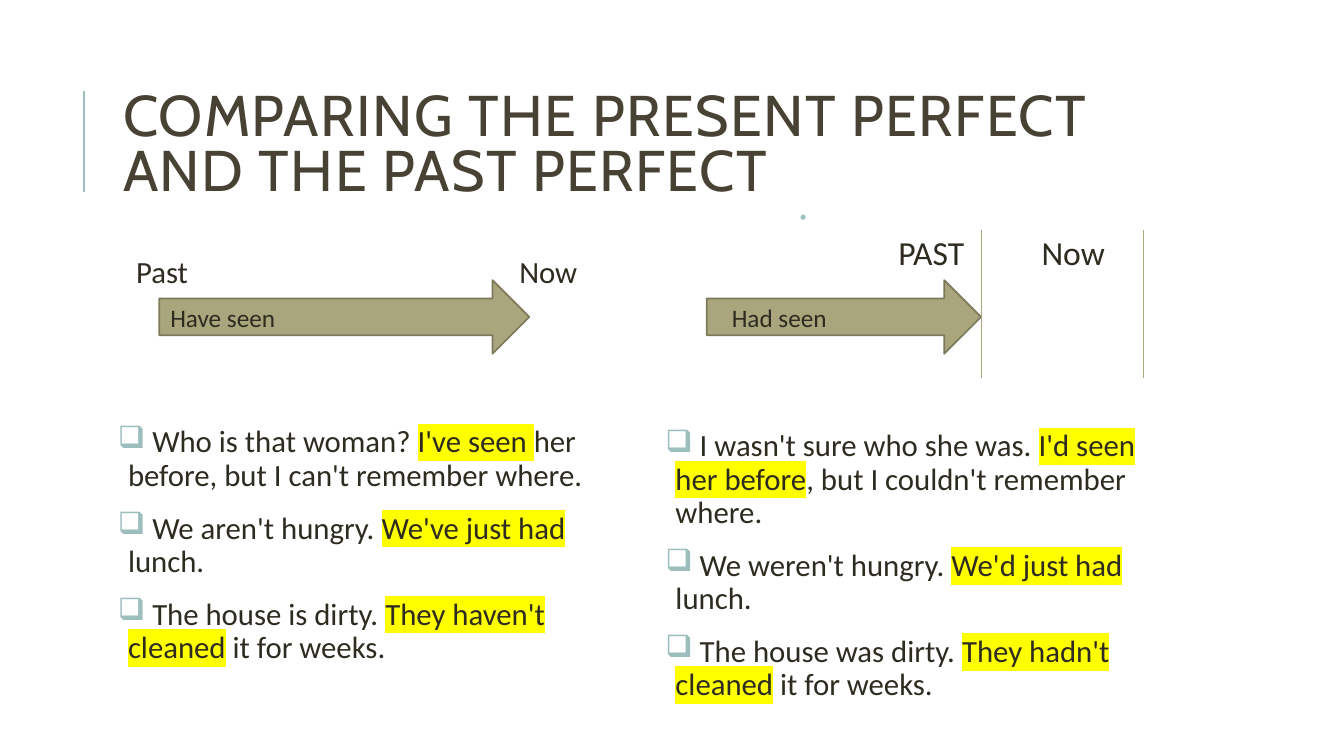
from lxml import etree
from pptx import Presentation
from pptx.dml.color import RGBColor
from pptx.enum.shapes import MSO_CONNECTOR, MSO_SHAPE
from pptx.enum.text import MSO_ANCHOR, MSO_AUTO_SIZE, PP_ALIGN
from pptx.oxml.ns import qn
from pptx.util import Inches, Pt

RIGHT_ARROW, DOT = MSO_SHAPE.RIGHT_ARROW, MSO_SHAPE.OVAL
STRAIGHT = MSO_CONNECTOR.STRAIGHT
TOP, MIDDLE = MSO_ANCHOR.TOP, MSO_ANCHOR.MIDDLE
LEFT = PP_ALIGN.LEFT
NO_FIT = MSO_AUTO_SIZE.NONE

TITLE_BROWN = RGBColor(0x47, 0x42, 0x33)
INK = RGBColor(0x2E, 0x2B, 0x21)
TEAL = RGBColor(0x9C, 0xBE, 0xBD)
OLIVE = RGBColor(0xA9, 0xA5, 0x7C)
DARK_OLIVE = RGBColor(0x7D, 0x7A, 0x5C)
YELLOW = RGBColor(0xFF, 0xFF, 0x00)

TITLE = "COMPARING THE PRESENT PERFECT AND THE PAST PERFECT"
PRESENT_PERFECT = [
    (" Who is that woman? ", "I've seen ", "her before, but I can't remember where."),
    (" We aren't hungry. ", "We've just had", " lunch."),
    (" The house is dirty. ", "They haven't cleaned", " it for weeks."),
]
PAST_PERFECT = [
    (" I wasn't sure who she was. ", "I'd seen her before", ", but I couldn't remember where."),
    (" We weren't hungry. ", "We'd just had ", "lunch."),
    (" The house was dirty. ", "They hadn't cleaned", " it for weeks."),
]


def add_color(parent, tag, color):
    """Append a DrawingML colour holder to parent and return it."""
    holder = etree.SubElement(parent, qn(tag))
    etree.SubElement(holder, qn("a:srgbClr"), val=str(color))
    return holder


def write(paragraph, text, size=22, font="Calibri", color=INK, highlight=None, tracking=None):
    """Add a formatted run to a paragraph."""
    run = paragraph.add_run()
    run.text = text
    run.font.size = Pt(size)
    run.font.name = font
    run.font.color.rgb = color
    properties = run.font._element
    if highlight is not None:
        marker = add_color(properties, "a:highlight", highlight)
        properties.find(qn("a:latin")).addprevious(marker)
    if tracking is not None:
        properties.set("spc", str(tracking))


def add_frame(slide, left, top, width, height, inset=0.05):
    """Add a wrapping text box and return its text frame."""
    box = slide.shapes.add_textbox(Inches(left), Inches(top), Inches(width), Inches(height))
    frame = box.text_frame
    frame.word_wrap = True
    frame.vertical_anchor = TOP
    frame.margin_left = frame.margin_right = Inches(inset)
    frame.margin_top = frame.margin_bottom = Inches(0.05)
    return frame


def add_label(slide, text, left, top, width, size=22, inset=0.05, spacing=0.9):
    """Add a one-line label."""
    paragraph = add_frame(slide, left, top, width, 0.4, inset).paragraphs[0]
    paragraph.line_spacing = spacing
    write(paragraph, text, size=size)


def add_examples(slide, examples, left, top):
    """Add a checkbox list with the verb phrase of each example marked."""
    frame = add_frame(slide, left, top, 5.2, 6.9 - top)
    for index, (opening, verb_phrase, ending) in enumerate(examples):
        paragraph = frame.add_paragraph() if index else frame.paragraphs[0]
        paragraph.line_spacing = 0.9
        paragraph.space_before, paragraph.space_after = Pt(12), Pt(2)
        properties = paragraph._p.get_or_add_pPr()
        properties.set("marL", str(Inches(0.1)))
        properties.set("indent", str(Inches(-0.1)))
        add_color(properties, "a:buClr", TEAL)
        etree.SubElement(properties, qn("a:buChar"), char="❑")
        write(paragraph, opening)
        write(paragraph, verb_phrase, highlight=YELLOW)
        write(paragraph, ending)


def add_solid(slide, preset, left, top, width, height, fill, outline=None):
    """Add a filled preset shape with an optional outline."""
    solid = slide.shapes.add_shape(preset, Inches(left), Inches(top), Inches(width), Inches(height))
    solid.shadow.inherit = False
    solid.fill.solid()
    solid.fill.fore_color.rgb = fill
    if outline is None:
        solid.line.fill.background()
    else:
        solid.line.color.rgb = outline
        solid.line.width = Pt(1.25)


def add_vertical_line(slide, x, top, bottom, color, weight):
    """Add a vertical rule without a shadow."""
    rule = slide.shapes.add_connector(STRAIGHT, Inches(x), Inches(top), Inches(x), Inches(bottom))
    rule.line.color.rgb = color
    rule.line.width = Pt(weight)
    etree.SubElement(rule._element.spPr, qn("a:effectLst"))


def add_title(slide):
    """Place and format the title with its side rule."""
    title = slide.shapes.title
    title.left, title.top = Inches(1.12), Inches(0.64)
    title.width, title.height = Inches(10.63), Inches(1.64)
    frame = title.text_frame
    frame.word_wrap = True
    frame.auto_size = NO_FIT
    frame.vertical_anchor = MIDDLE
    heading = frame.paragraphs[0]
    heading.alignment = LEFT
    heading.line_spacing = 0.8
    write(heading, TITLE, size=41, font="Cabin", color=TITLE_BROWN, tracking=100)
    add_vertical_line(slide, 0.83, 0.9, 1.9, TEAL, 1.5)


def main():
    """Build the tense comparison slide."""
    deck = Presentation()
    deck.slide_width, deck.slide_height = Inches(13.33), Inches(7.5)
    slide = deck.slides.add_slide(deck.slide_layouts[5])
    add_title(slide)

    add_examples(slide, PRESENT_PERFECT, 1.12, 4.18)
    add_examples(slide, PAST_PERFECT, 6.55, 4.22)

    for text, left, top, size in [
        ("Past", 1.3, 2.5, 22),
        ("Now", 5.1, 2.5, 22),
        ("PAST", 8.86, 2.3, 24),
        ("Now", 10.28, 2.3, 24),
    ]:
        add_label(slide, text, left, top, 0.85, size=size)

    for text, arrow_left, arrow_width, text_left, text_width in [
        ("Have seen", 1.58, 3.67, 1.59, 2.52),
        ("Had seen", 7.01, 2.72, 7.16, 1.41),
    ]:
        add_solid(slide, RIGHT_ARROW, arrow_left, 2.78, arrow_width, 0.73, OLIVE, DARK_OLIVE)
        add_label(slide, text, text_left, 2.95, text_width, size=18, inset=0.1, spacing=1.0)

    for moment in (9.73, 11.34):
        add_vertical_line(slide, moment, 2.28, 3.75, OLIVE, 0.75)
    add_solid(slide, DOT, 7.94, 2.13, 0.05, 0.05, TEAL)

    deck.save("out.pptx")


if __name__ == "__main__":
    main()
